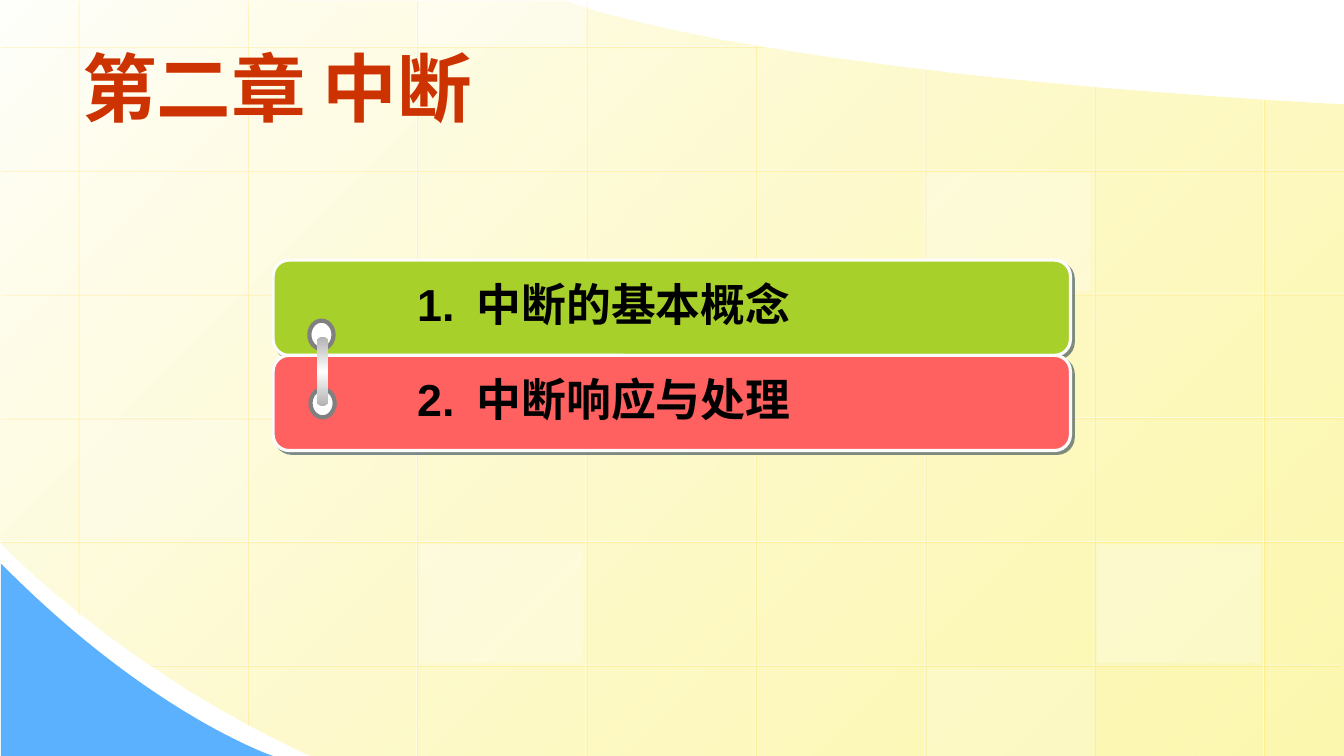
from dataclasses import dataclass

from lxml.etree import SubElement as Sub
from pptx import Presentation
from pptx.dml.color import RGBColor as RGB
from pptx.enum.shapes import MSO_CONNECTOR as Conn, MSO_SHAPE as Kind
from pptx.enum.text import MSO_ANCHOR as Anchor, MSO_AUTO_SIZE as Auto, PP_ALIGN as Align
from pptx.oxml.ns import qn
from pptx.util import Pt


@dataclass(frozen=True)
class Theme:
    white: str = "FFFFFF"
    pale: str = "FFFFFB"
    yellow: str = "FDF58D"
    gold: str = "FFCC00"
    blue: str = "5CB1FE"
    red: str = "CC3300"
    black: str = "000000"
    rim: str = "FCFCFC"
    navy: str = "001D3A"
    green: str = "A8D02A"
    coral: str = "FF6161"
    grey: str = "808080"
    silver: str = "B2B2B2"
    head: float = 53.3
    body: float = 32
    han: str = "Noto Sans CJK SC"
    latin: str = "Arial"


T = Theme()


def rgb(code):
    return RGB.from_string(code)


def fade(color, rate):
    """Set the opacity of a colour element, in percent."""
    Sub(color, qn("a:alpha"), val=str(rate * 1000))


def paint(shape, color, rate=100):
    shape.fill.solid()
    shape.fill.fore_color.rgb = rgb(color)
    if rate < 100:
        fade(shape._element.spPr.find(qn("a:solidFill"))[0], rate)


def blend(shape, angle, stops):
    """Fill with a gradient of (place, colour, opacity) stops, angle clockwise."""
    shape.fill.gradient()
    shape.fill.gradient_angle = 360 - angle
    group = shape._element.spPr.find(".//" + qn("a:gsLst"))
    for old in list(group):
        group.remove(old)
    for place, color, rate in stops:
        stop = Sub(group, qn("a:gs"), pos=str(place * 1000))
        fade(Sub(stop, qn("a:srgbClr"), val=color), rate)


def shade(owner, color, rate, gap):
    """Give a shape or run properties element a hard shadow to the lower right."""
    list_tag = qn("a:effectLst")
    effects = owner.find(list_tag)
    if effects is None:
        effects = Sub(owner, list_tag)
    cast = Sub(effects, qn("a:outerShdw"), dist=str(Pt(gap)), dir="2700000", algn="ctr")
    fade(Sub(cast, qn("a:srgbClr"), val=color), rate)


def block(slide, kind, box, rim=None, width=0):
    shape = slide.shapes.add_shape(kind, *map(Pt, box))
    shape.shadow.inherit = False
    if rim:
        shape.line.color.rgb = rgb(rim)
        shape.line.width = Pt(width)
    else:
        shape.line.fill.background()
    return shape


def curve(a, b, c, d, steps=40):
    """Points of a cubic curve after its start."""
    spots = []
    for i in range(1, steps + 1):
        t = i / steps
        u = 1 - t
        spots.append(tuple(u**3 * p + 3 * u * u * t * q + 3 * u * t * t * r + t**3 * s
                           for p, q, r, s in zip(a, b, c, d)))
    return spots


def outline(slide, spots):
    first, *rest = [(Pt(x), Pt(y)) for x, y in spots]
    form = slide.shapes.build_freeform(*first)
    form.add_line_segments(rest, close=True)
    shape = form.convert_to_shape()
    shape.shadow.inherit = False
    shape.line.fill.background()
    return shape


def rule(slide, *ends):
    line = slide.shapes.add_connector(Conn.STRAIGHT, *map(Pt, ends))
    line.line.color.rgb = rgb(T.white)
    line.line.width = Pt(0.75)
    props = line._element.spPr
    fade(props.find(".//" + qn("a:srgbClr")), 50)
    shade(props, T.gold, 34, 1.4)


def style(para, size, color, font):
    para.font.size = Pt(size)
    para.font.bold = True
    para.font.color.rgb = rgb(color)
    para.font.name = font
    Sub(para._p.pPr.find(qn("a:defRPr")), qn("a:ea"), typeface=T.han)


def backdrop(slide):
    low, left = (221, 540), (0, 388)
    crest, edge = (404, 0.7), (960, 75)
    field = outline(slide, [edge, (960, 540), low,
                            *curve(low, (82.8, 476), left, left), (0, 0), crest,
                            *curve(crest, crest, (515, 50), edge)])
    blend(field, 45, [(0, T.pale, 100), (100, T.yellow, 70)])
    foot, top = (195, 540), (0.7, 402.5)
    paint(outline(slide, [top, (0.7, 540), foot,
                          *curve(foot, foot, (107.3, 510.5), top)]), T.blue)


def grid(slide):
    spans = [(0, 438.5), (0, 517.7), (0, 540), (0, 540),
             (31, 540), (49, 540), (61.2, 540), (70.6, 540)]
    for i, (top, end) in enumerate(spans):
        x = 55.4 + 121 * i
        rule(slide, x, top, x, end)
    for i, (left, right) in enumerate([(0, 545)] + [(0, 960)] * 4 + [(106.6, 957)]):
        y = 33.1 + 88.4 * i
        rule(slide, right, y, left, y)
    for x, y, wide, high, rate in [
        (420.5, 211.7, 118.8, 85, 25), (783.4, 388.8, 117.4, 85, 30),
        (57.6, 299.5, 118.8, 85, 20), (662.4, 477.4, 118.8, 62.6, 20),
        (298.8, 0, 118.8, 31.7, 40), (299.5, 388.8, 117.4, 85, 30),
        (661.7, 123.1, 117.4, 85, 30),
    ]:
        paint(block(slide, Kind.RECTANGLE, (x, y, wide, high)), T.white, rate)


def heading(slide, text):
    title = slide.shapes.title
    title.left, title.top, title.width, title.height = map(Pt, (49, 25.9, 864, 72.7))
    slide.shapes._spTree.append(title._element)
    frame = title.text_frame
    frame.text = text
    frame.auto_size = Auto.NONE
    frame.vertical_anchor = Anchor.MIDDLE
    frame.margin_left = frame.margin_right = Pt(9.6)
    frame.margin_top = frame.margin_bottom = Pt(4.8)
    para = frame.paragraphs[0]
    para.alignment = Align.LEFT
    style(para, T.head, T.red, T.han)
    shade(para.runs[0]._r.get_or_add_rPr(), T.white, 100, 1.5)


def item(slide, top, text, color):
    bar = block(slide, Kind.ROUNDED_RECTANGLE, (195.1, top, 569.5, 68), T.rim, 2.25)
    bar.adjustments[0] = 0.167
    paint(bar, color)
    shade(bar._element.spPr, T.navy, 50, 2.8)
    label = slide.shapes.add_textbox(*map(Pt, (243.4, top + 8.4, 489.6, 46)))
    frame = label.text_frame
    frame.word_wrap = True
    frame.text = text
    para = frame.paragraphs[0]
    style(para, T.body, T.black, T.latin)
    para._p.pPr.set("marL", str(Pt(90)))
    para._p.pPr.set("indent", str(Pt(-42.5)))
    shade(para.runs[0]._r.get_or_add_rPr(), T.grey, 50, 1.5)


def clasp(slide):
    for x, y in [(221, 229), (221.8, 277.9)]:
        paint(block(slide, Kind.OVAL, (x, y, 17.3, 20.2), T.grey, 3), T.white)
    pin = block(slide, Kind.ROUNDED_RECTANGLE, (226.1, 240.5, 8.6, 49.7))
    pin.adjustments[0] = 0.5
    blend(pin, 90, [(0, T.silver, 100), (50, T.white, 100), (100, T.silver, 100)])


def main():
    deck = Presentation()
    deck.slide_width, deck.slide_height = Pt(960), Pt(540)
    slide = deck.slides.add_slide(deck.slide_layouts[5])
    backdrop(slide)
    grid(slide)
    heading(slide, "第二章 中断")
    items = [("1.\t中断的基本概念", T.green), ("2.\t中断响应与处理", T.coral)]
    for i, (text, color) in enumerate(items):
        item(slide, 185.8 + 68 * i, text, color)
    clasp(slide)
    deck.save("out.pptx")


if __name__ == "__main__":
    main()
